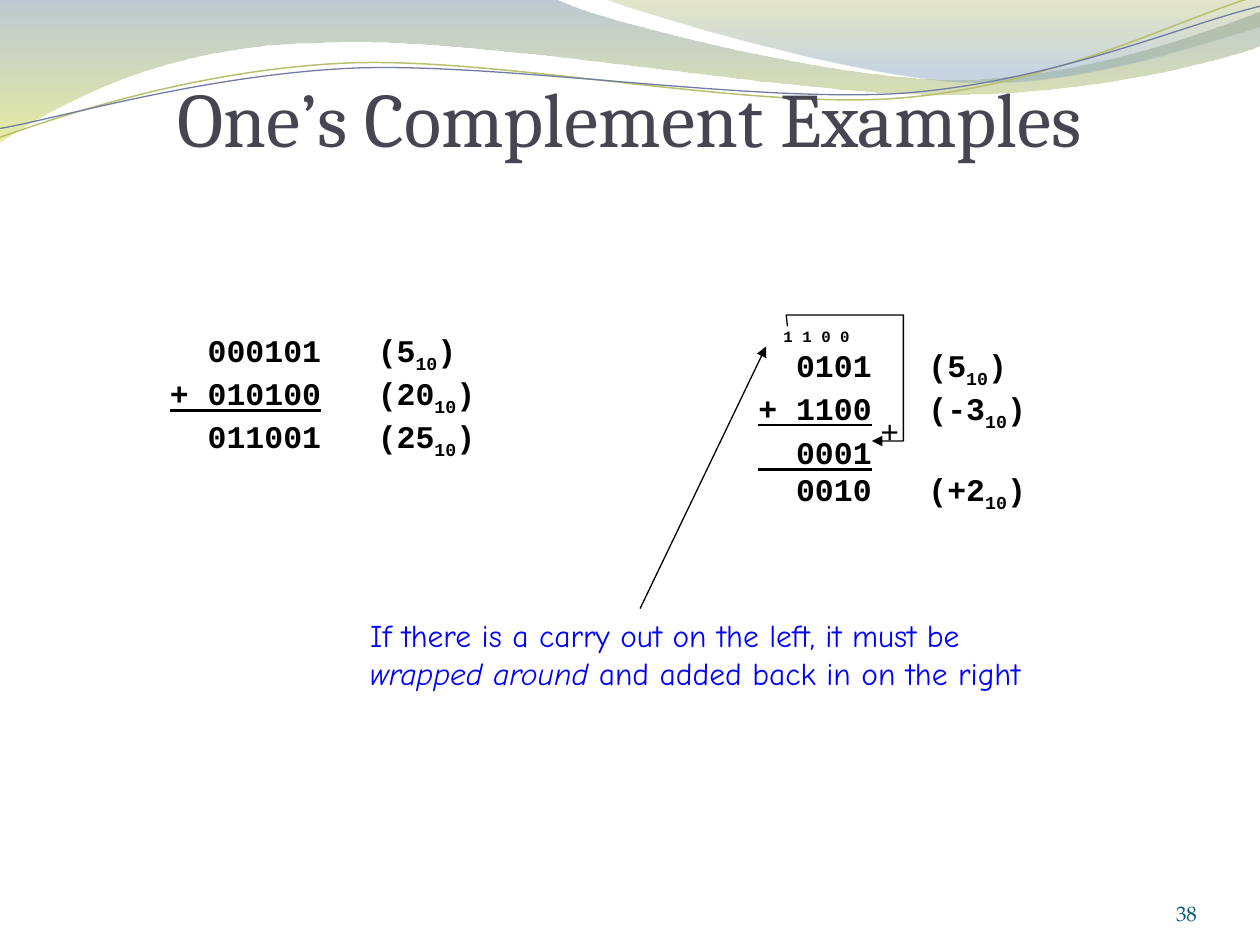
"""Build a slide with two worked sums in one's complement."""
from lxml.etree import SubElement
from pptx import Presentation
from pptx.dml.color import RGBColor
from pptx.enum.shapes import MSO_CONNECTOR
from pptx.enum.text import MSO_ANCHOR, PP_ALIGN
from pptx.oxml.ns import qn
from pptx.util import Inches, Pt

deck = Presentation()
deck.slide_width, deck.slide_height = Inches(10), Inches(7.5)
slide = deck.slides.add_slide(deck.slide_layouts[6])
shapes = slide.shapes
hue = RGBColor.from_string


def write(at, rows, size, font, tint, anchor=MSO_ANCHOR.TOP, align=PP_ALIGN.LEFT):
    """Add a text box whose rows are lists of (text, mark) pairs."""
    frame = shapes.add_textbox(*map(Inches, at)).text_frame
    frame.word_wrap, frame.vertical_anchor = True, anchor
    for row, parts in enumerate(rows):
        para = frame.paragraphs[0] if row == 0 else frame.add_paragraph()
        para.alignment = align
        for text, mark in parts:
            run = para.add_run()
            run.text = text
            run.font.size, run.font.name = Pt(size), font
            run.font.color.rgb = hue(tint)
            run.font.italic = mark == "i"
            run.font.underline = mark == "u"
            if mark == "sub":
                run.font._element.set("baseline", "-25000")
    return frame


def trace(start, parts, close=False):
    """Add an outline; a part of two numbers is a line, of six a curve."""
    dots = [part[i:i + 2] for part in parts for i in range(0, len(part), 2)]
    pen = shapes.build_freeform(*(100 * n for n in start), scale=9144)
    pen.add_line_segments([(100 * x, 100 * y) for x, y in dots], close=close)
    shape = pen.convert_to_shape()
    shape.shadow.inherit = False
    steps = iter(list(shape._element.iter(qn("a:lnTo"))))
    for part in parts:
        step = next(steps)
        if len(part) == 6:
            step.tag = qn("a:cubicBezTo")
            for spare in (next(steps), next(steps)):
                step.append(spare[0])
                spare.getparent().remove(spare)
    return shape


bands = [
    ((0, -0.01),
     [(4.4, -0.01), (4.76, 0.17, 6.64, 0.63, 7.58, 0.63),
      (8.53, 0.63, 9.58, 0.26, 10, 0.09), (10.01, 0.36),
      (9.83, 0.44, 8.7, 0.76, 7.46, 0.75), (6.22, 0.75, 3.82, 0.28, 2.57, 0.34),
      (1.29, 0.35, 0.46, 0.83, -0.01, 1.13), (0, -0.01)],
     [(0, "72889B", 45), (1, "D3DE57", 55)]),
    ((4.79, -0.01),
     [(5.09, 0.11, 6.82, 0.62, 7.69, 0.65), (8.56, 0.69, 9.61, 0.32, 10, 0.21),
      (10, 0), (4.79, -0.01)],
     [(0, "A4AC50", 30), (0.8, "84A3BD", 45)]),
]
for start, parts, stops in bands:
    band = trace(start, parts, True)
    band.line.fill.background()
    band.fill.gradient()
    band.fill.gradient_angle = 270
    for stop, (place, tint, _) in zip(band.fill.gradient_stops, stops):
        stop.position, stop.color.rgb = place, hue(tint)
    for node, (_, _, share) in zip(band._element.iter(qn("a:srgbClr")), stops):
        SubElement(node, qn("a:alpha")).set("val", str(share * 1000))

waves = [
    ((0, 1.09), [(0.48, 0.92, 1.57, 0.55, 2.76, 0.5), (3.95, 0.45, 5.92, 0.87, 7.12, 0.78),
                 (8.33, 0.69, 9.38, 0.14, 9.97, -0.03)], "B9C06C", 0.85),
    ((0, 1.02), [(0.47, 0.94, 1.63, 0.59, 2.83, 0.54), (4.02, 0.5, 5.97, 0.82, 7.17, 0.74),
                 (8.36, 0.65, 9.41, 0.19, 10, 0.05)], "727CA3", 0.75),
]
for start, parts, tint, width in waves:
    wave = trace(start, parts)
    wave.fill.background()
    wave.line.color.rgb, wave.line.width = hue(tint), Pt(width)

page = write((8.83, 6.95, 0.67, 0.4), [[("38", "")]], 12, "TeX Gyre Pagella", "045C75",
             MSO_ANCHOR.BOTTOM, PP_ALIGN.RIGHT)
page.margin_left = page.margin_right = page.margin_top = page.margin_bottom = 0
write((0.5, 0.3, 9, 1.25), [[("One’s Complement Examples", "")]], 44, "Cambria", "464653",
      MSO_ANCHOR.MIDDLE, PP_ALIGN.CENTER)

ten = [("10", "sub"), (")", "")]
sums = [
    ((1.25, 2.5, 2.64, 1.09), 0.13, 1.65, [24.5] * 3,
     [[("\t000101\t(5", "")] + ten,
      [("+ 010100", "u"), ("\t(20", "")] + ten,
      [("\t011001\t(25", "")] + ten]),
    ((5.92, 2.55, 2.94, 1.45), 0.03, 1.35, [12, 24.5, 24.5, 22.3, 24],
     [[("1 1 0 0", "")],
      [("\t0101\t(5", "")] + ten,
      [("+ 1100", "u"), ("\t(-3", "")] + ten,
      [("  0001", "u")],
      [("\t0010\t(+2", "")] + ten]),
]
for at, top, column, heights, rows in sums:
    frame = write(at, rows, 18, "Courier New", "000000")
    frame.margin_top = Inches(top)
    for para, height in zip(frame.paragraphs, heights):
        para.line_spacing = Pt(height)
        for run in para.runs:
            run.font.bold = True
        stops = SubElement(para._p.pPr, qn("a:tabLst"))
        for place in (0.3, column):
            SubElement(stops, qn("a:tab"), pos=str(Inches(place)), algn="l")
carry = frame.paragraphs[0]
carry.runs[0].font.size = Pt(9)
carry._p.pPr.set("marL", str(Inches(0.2)))
carry._p.pPr.set("indent", "0")

wrap = trace((6.25, 2.59), [(6.24, 2.5), (7.17, 2.5), (7.17, 3.5), (6.92, 3.5)])
wrap.fill.background()
write((6.89, 3.22, 0.35, 0.4), [[("+", "")]], 18, "Arial", "000000")
write((2.84, 4.84, 5.66, 0.7),
      [[("If there is a carry out on the left, it must be", "")],
       [("wrapped around", "i"), (" and added back in on the right", "")]],
      18, "Comic Neue", "0000FF", MSO_ANCHOR.MIDDLE)
arrow = shapes.add_connector(MSO_CONNECTOR.STRAIGHT, *map(Inches, (5.08, 4.83, 6.08, 2.75)))
for link in (wrap, arrow):
    link.line.color.rgb, link.line.width = hue("000000"), Pt(0.75)
    SubElement(link.line._get_or_add_ln(), qn("a:tailEnd"), type="triangle")
SubElement(arrow._element.spPr, qn("a:effectLst"))

deck.save("out.pptx")
